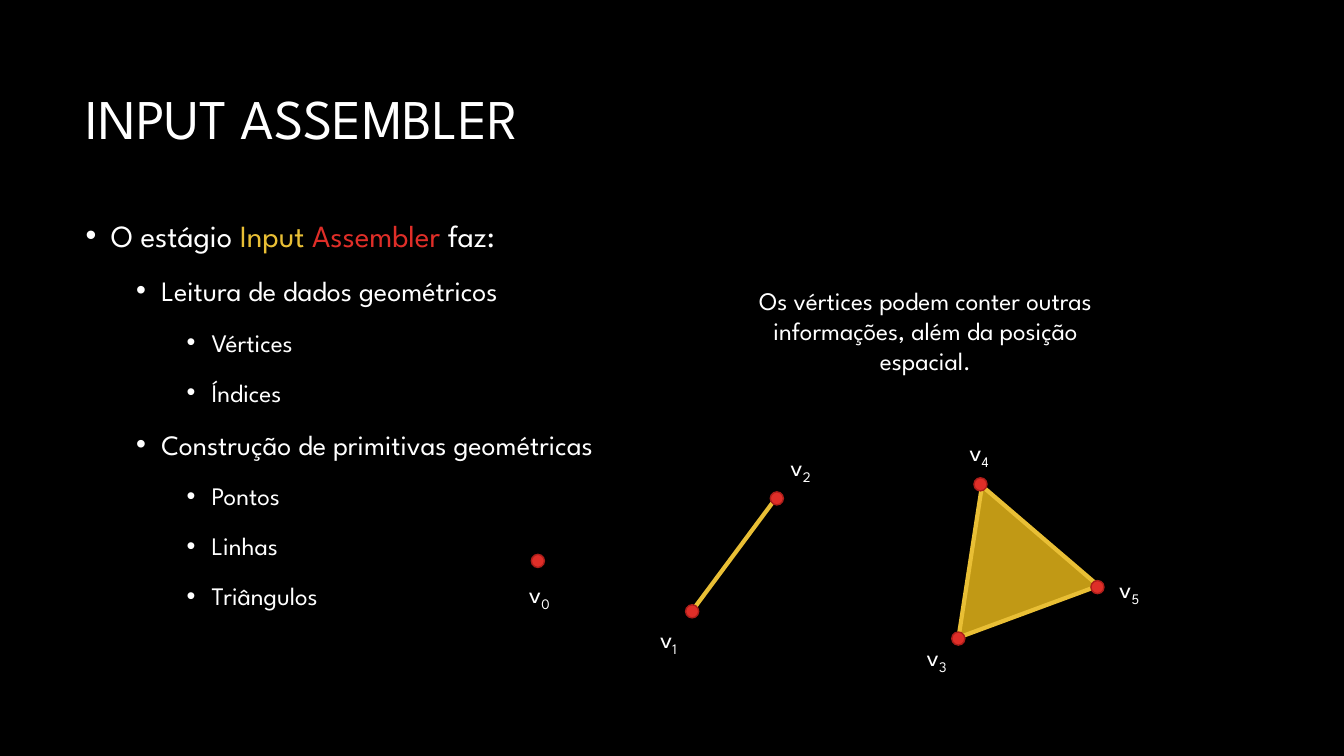
"""Build the Input Assembler slide with its list and its point, line and triangle."""
import pptx
import pptx.util
import pptx.dml.color
import pptx.enum.shapes
import pptx.enum.text
import pptx.oxml
import pptx.oxml.ns

Inches, Pt = pptx.util.Inches, pptx.util.Pt
RGBColor = pptx.dml.color.RGBColor
Shape = pptx.enum.shapes.MSO_SHAPE
Align = pptx.enum.text.PP_ALIGN
Anchor = pptx.enum.text.MSO_ANCHOR
Fit = pptx.enum.text.MSO_AUTO_SIZE

FONT = "League Spartan"
BLACK = RGBColor(0x00, 0x00, 0x00)
WHITE = RGBColor(0xFF, 0xFF, 0xFF)
YELLOW = RGBColor(0xE9, 0xBF, 0x35)
GOLD = RGBColor(0xC1, 0x99, 0x15)
RED = RGBColor(0xDF, 0x2E, 0x28)
MAROON = RGBColor(0xAC, 0x1E, 0x1A)


def style(run, size, color=WHITE):
    run.font.name = FONT
    run.font.size = Pt(size)
    run.font.color.rgb = color


def paint(shape, fill, line, width):
    shape.shadow.inherit = False
    shape.fill.solid()
    shape.fill.fore_color.rgb = fill
    shape.line.color.rgb = line
    shape.line.width = Pt(width)


deck = pptx.Presentation()
deck.slide_width, deck.slide_height = Inches(13.33), Inches(7.5)
slide = deck.slides.add_slide(deck.slide_layouts[1])
slide.background.fill.solid()
slide.background.fill.fore_color.rgb = BLACK

title, body = slide.shapes.title, slide.placeholders[1]
for holder, top, height, anchor in [(title, 0.5, 1.41, Anchor.MIDDLE), (body, 2.06, 4.69, Anchor.TOP)]:
    holder.left, holder.top = Inches(0.75), Inches(top)
    holder.width, holder.height = Inches(11.83), Inches(height)
    holder.text_frame.auto_size = Fit.NONE
    holder.text_frame.vertical_anchor = anchor

title.text_frame.text = "INPUT ASSEMBLER"
head = title.text_frame.paragraphs[0]
head.alignment = Align.LEFT
head.line_spacing = 0.9
style(head.runs[0], 40)

items = [
    (0, [("O estágio ", WHITE), ("Input ", YELLOW), ("Assembler", RED), (" faz:", WHITE)]),
    (1, [("Leitura de dados geométricos", WHITE)]),
    (2, [("Vértices", WHITE)]),
    (2, [("Índices", WHITE)]),
    (1, [("Construção de primitivas geométricas", WHITE)]),
    (2, [("Pontos", WHITE)]),
    (2, [("Linhas", WHITE)]),
    (2, [("Triângulos", WHITE)]),
]
frame = body.text_frame
for index, (level, parts) in enumerate(items):
    para = frame.add_paragraph() if index else frame.paragraphs[0]
    para.level = level
    para.line_spacing = 1.1
    para.space_before = Pt(12 if index else 0)
    props = para._p.get_or_add_pPr()
    props.set("marL", str(Inches(0.25 + 0.5 * level)))
    props.set("indent", str(Inches(-0.25)))
    bullet = pptx.oxml.parse_xml(f'<a:buChar {pptx.oxml.ns.nsdecls("a")} char="•"/>')
    props.append(bullet)
    for text, color in parts:
        run = para.add_run()
        run.text = text
        style(run, 22 - 2 * level, color)

edge = slide.shapes.add_connector(
    pptx.enum.shapes.MSO_CONNECTOR.STRAIGHT,
    Inches(7.66), Inches(4.99), Inches(6.88), Inches(6.04))
edge.line.color.rgb = YELLOW
edge.line.width = Pt(3)
edge._element.spPr.append(
    pptx.oxml.parse_xml(f'<a:effectLst {pptx.oxml.ns.nsdecls("a")}/>'))

face = slide.shapes.add_shape(
    Shape.ISOSCELES_TRIANGLE, Inches(9.23), Inches(4.78), Inches(1.48), Inches(1.33))
face.rotation = 339.7
paint(face, GOLD, YELLOW, 3)

points = [
    ("0", (5.27, 5.5), (5.13, 5.69)),
    ("1", (6.8, 6), (6.41, 6.13)),
    ("2", (7.64, 4.88), (7.72, 4.43)),
    ("3", (9.44, 6.27), (9.07, 6.31)),
    ("4", (9.66, 4.74), (9.49, 4.28)),
    ("5", (10.82, 5.76), (10.98, 5.64)),
]
for digit, spot, place in points:
    left, top = map(Inches, spot)
    dot = slide.shapes.add_shape(Shape.OVAL, left, top, Inches(0.13), Inches(0.13))
    paint(dot, RED, MAROON, 1)
    left, top = map(Inches, place)
    label = slide.shapes.add_textbox(left, top, Inches(0.44), Inches(0.4))
    label.text_frame.word_wrap = False
    label.text_frame.auto_size = Fit.SHAPE_TO_FIT_TEXT
    para = label.text_frame.paragraphs[0]
    para.alignment = Align.CENTER
    for text in ("v", digit):
        run = para.add_run()
        run.text = text
        style(run, 18)
    run._r.get_or_add_rPr().set("baseline", "-25000")

note = slide.shapes.add_textbox(Inches(7.35), Inches(2.78), Inches(3.66), Inches(1.01))
note.text_frame.word_wrap = True
note.text_frame.auto_size = Fit.SHAPE_TO_FIT_TEXT
note.text_frame.text = "Os vértices podem conter outras informações, além da posição espacial."
para = note.text_frame.paragraphs[0]
para.alignment = Align.CENTER
style(para.runs[0], 18)

deck.save("out.pptx")
